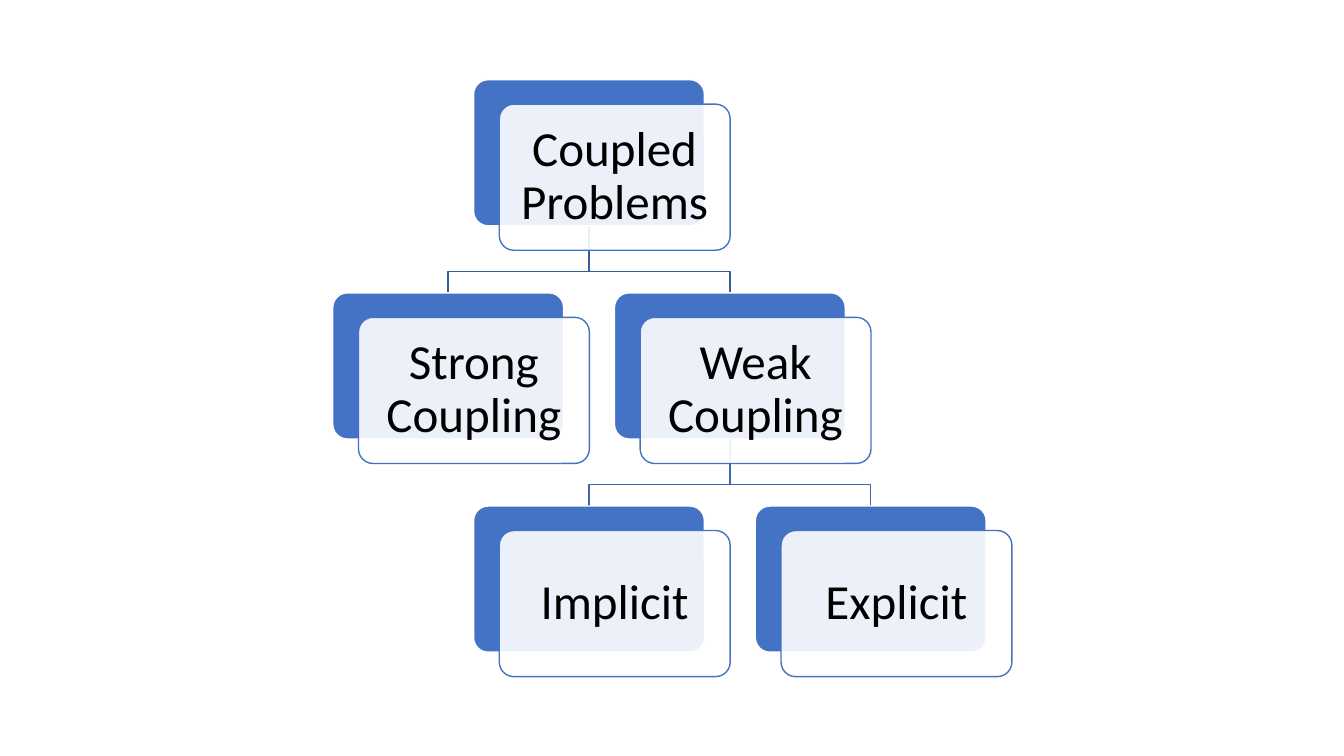
"""Draw a three-level tree of coupled problem types."""
from dataclasses import dataclass
from typing import Optional

from pptx import Presentation
from pptx import util as u
from pptx.dml.color import RGBColor
from pptx.enum import shapes, text
from pptx.oxml import ns, xmlchemy

WIDE, HIGH = 2.29, 1.45
SHIFT_X, SHIFT_Y = 0.255, 0.243
LEFT, TOP = 3.3, 0.79
STEP_X, STEP_Y = 1.397, 2.115
BEND = 0.454
BLUE, WHITE, BLACK = "4472C4", "FFFFFF", "000000"
LINKS = ("365B9D", "3E67B2")


@dataclass(frozen=True)
class Node:
    label: str
    col: int
    row: int
    root: Optional["Node"] = None

    @property
    def left(self) -> float:
        return LEFT + self.col * STEP_X

    @property
    def top(self) -> float:
        return TOP + self.row * STEP_Y

    @property
    def mid(self) -> float:
        return self.left + WIDE / 2


def paint(part, code: str) -> None:
    part.solid()
    part.fore_color.rgb = RGBColor.from_string(code)


def fade(shape, alpha: int) -> None:
    tint = shape.element.spPr.find(f"{ns.qn('a:solidFill')}/{ns.qn('a:srgbClr')}")
    mark = xmlchemy.OxmlElement("a:alpha")
    mark.set("val", str(alpha * 1000))
    tint.append(mark)


def write(shape, words: str, *, size: float = 35, font: str = "Calibri",
          code: str = BLACK, inset: float = 0.15, lead: float = 0.9) -> None:
    frame = shape.text_frame
    frame.word_wrap = True
    frame.vertical_anchor = text.MSO_ANCHOR.MIDDLE
    frame.margin_left = frame.margin_right = u.Inches(inset)
    frame.margin_top = frame.margin_bottom = u.Inches(inset)
    para = frame.paragraphs[0]
    para.alignment = text.PP_ALIGN.CENTER
    para.line_spacing = lead
    run = para.add_run()
    run.text = words
    run.font.size, run.font.name = u.Pt(size), font
    paint(run.font.fill, code)


def panel(slide, left: float, top: float, fill: str, edge: str):
    shape = slide.shapes.add_shape(
        shapes.MSO_SHAPE.ROUNDED_RECTANGLE,
        u.Inches(left), u.Inches(top), u.Inches(WIDE), u.Inches(HIGH))
    shape.adjustments[0] = 0.1
    shape.shadow.inherit = False
    paint(shape.fill, fill)
    paint(shape.line.fill, edge)
    shape.line.width = u.Pt(1)
    return shape


def link(slide, node: Node) -> None:
    root = node.root
    base = root.top + HIGH
    spots = [(root.mid, base), (root.mid, base + BEND),
             (node.mid, base + BEND), (node.mid, node.top)]
    start, *rest = [(u.Inches(x), u.Inches(y)) for x, y in spots]
    pen = slide.shapes.build_freeform(*start)
    pen.add_line_segments(rest, close=False)
    shape = pen.convert_to_shape()
    shape.shadow.inherit = False
    shape.fill.background()
    paint(shape.line.fill, LINKS[root.row])
    shape.line.width = u.Pt(1)


def card(slide, node: Node) -> None:
    panel(slide, node.left, node.top, BLUE, WHITE)
    front = panel(slide, node.left + SHIFT_X, node.top + SHIFT_Y, WHITE, BLUE)
    fade(front, 90)
    write(front, node.label)


def main() -> None:
    deck = Presentation()
    deck.slide_width, deck.slide_height = u.Inches(13.33), u.Inches(7.5)
    slide = deck.slides.add_slide(deck.slide_layouts[6])
    top = Node("Coupled Problems", 1, 0)
    weak = Node("Weak Coupling", 2, 1, top)
    nodes = [top, Node("Strong Coupling", 0, 1, top), weak,
             Node("Implicit", 1, 2, weak), Node("Explicit", 3, 2, weak)]
    for node in reversed(nodes):
        if node.root:
            link(slide, node)
    for node in nodes:
        card(slide, node)
    deck.save("out.pptx")


if __name__ == "__main__":
    main()
